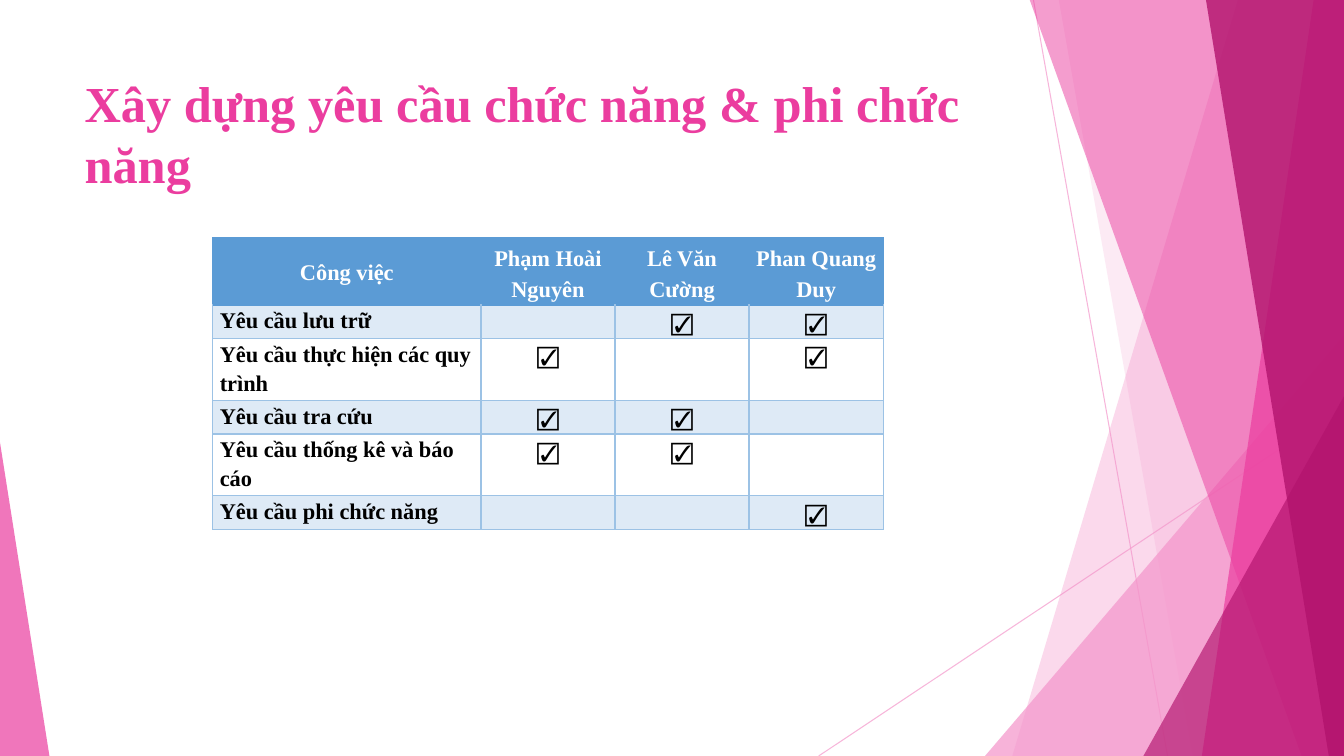
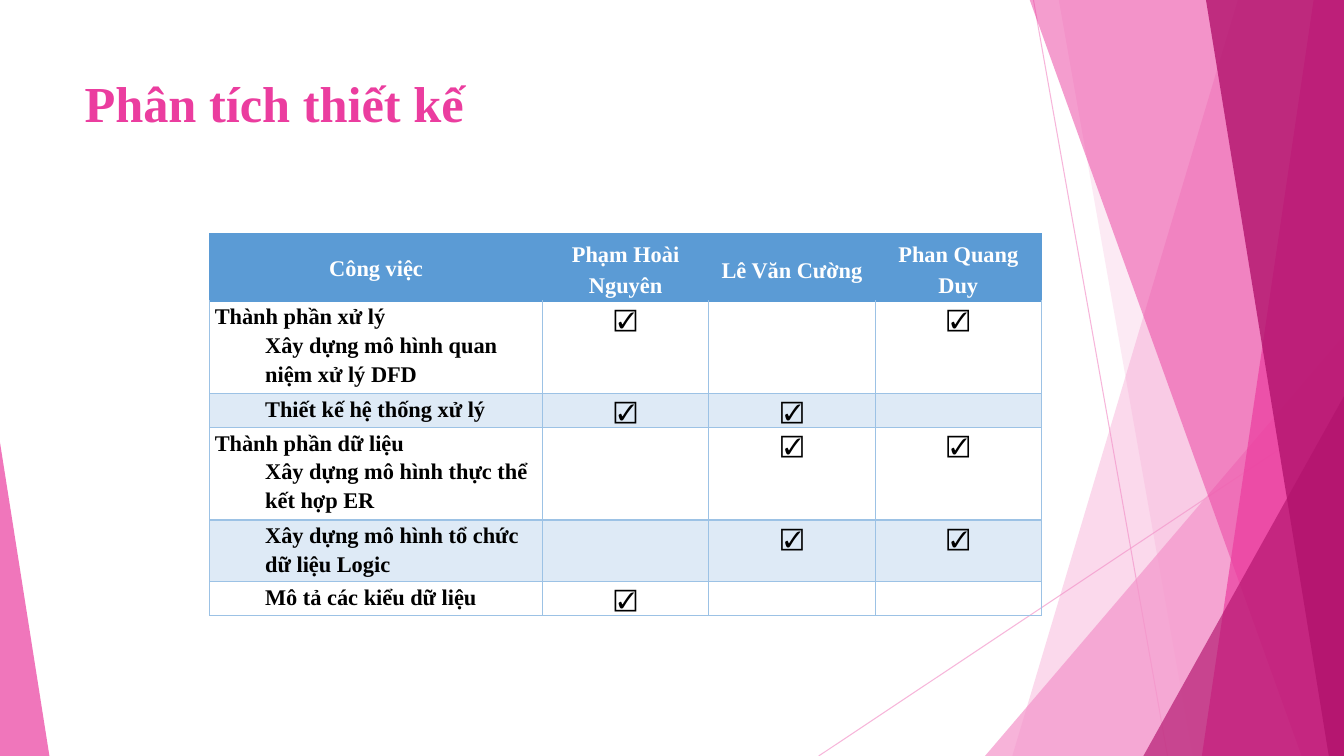
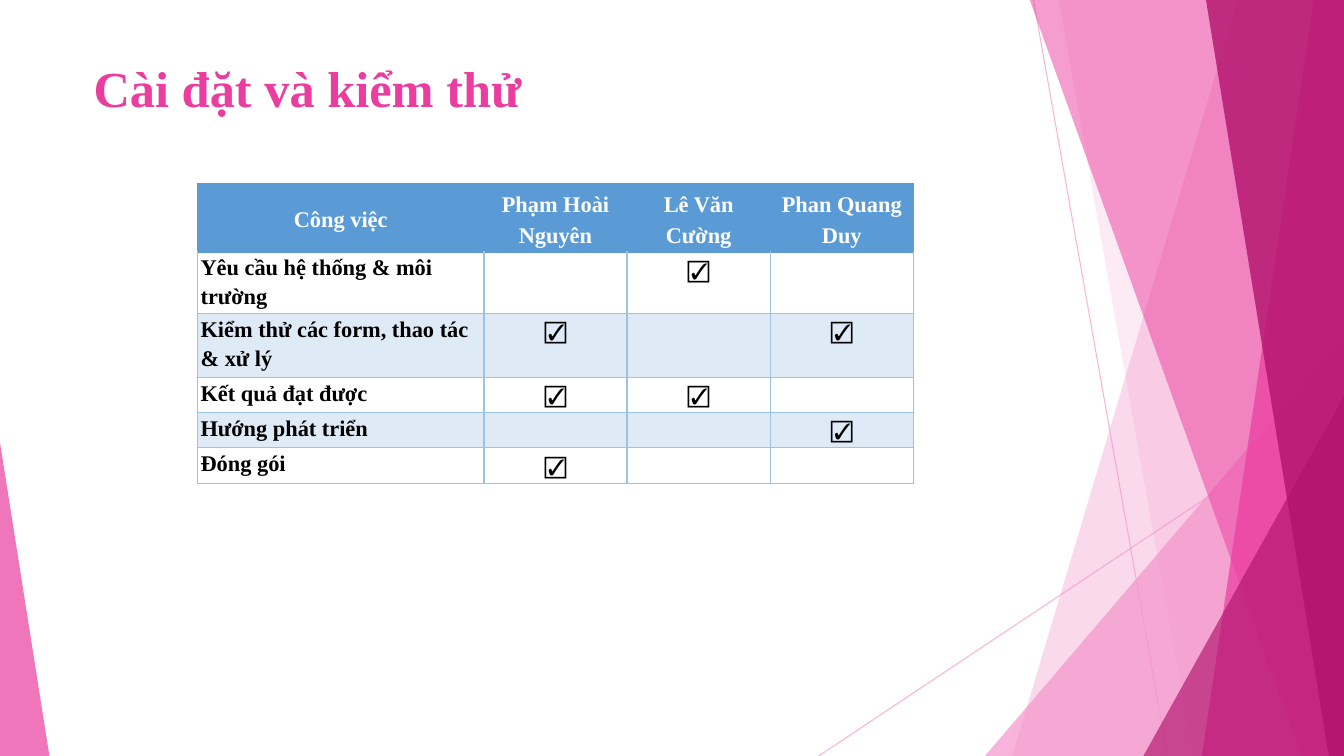
"""Builds three task assignment slides with a shared faceted pink backdrop."""
from dataclasses import dataclass

from lxml import etree
from pptx import Presentation
from pptx import util as u
from pptx.dml.color import RGBColor
from pptx.enum import shapes, text
from pptx.oxml.ns import qn


@dataclass(frozen=True)
class Theme:
    font: str = "Times New Roman"
    title_size: int = 36
    table_size: int = 16
    light: str = "F496CB"
    pink: str = "EB3D9F"
    dark: str = "B2136D"
    header: str = "5B9BD5"
    band: str = "DEEAF6"
    border: str = "9CC2E5"
    white: str = "FFFFFF"
    black: str = "000000"


THEME = Theme()
WIDTH, HEIGHT, TOP = 13.33, 7.5, -0.01
CHECK = "☑"
HEADINGS = ["Công việc", "Phạm Hoài Nguyên", "Lê Văn Cường", "Phan Quang Duy"]

RAYS = [((10.25, 0), (11.58, HEIGHT)), ((WIDTH, 4.03), (8.12, HEIGHT))]
FACETS = [
    ("band", 12.28, 10.04, THEME.light, 36),
    ("band", 10.5, 11.83, THEME.light, 20),
    ("triangle", 9.77, 3.33, THEME.light, 72),
    ("band", 10.21, 12.91, THEME.pink, 50),
    ("band", 13.03, 11.92, THEME.pink, 70),
    ("band", 11.96, 13.18, THEME.dark, 80),
    ("triangle", 11.34, 3.93, THEME.dark, 66),
]
LEFT_CORNER = (0, 4.39, 0.49, 3.11)

SLIDES = [
    dict(
        title="Xây dựng yêu cầu chức năng & phi chức năng", title_at=(0.74, 0.67),
        table_at=(2.11, 2.36), unit=1.33, inset=0.07, first_band=0,
        heights=[0.61, 0.31, 0.57, 0.31, 0.57, 0.31],
        tasks=[
            ([(0, "Yêu cầu lưu trữ")], (0, 1, 1)),
            ([(0, "Yêu cầu thực hiện các quy trình")], (1, 0, 1)),
            ([(0, "Yêu cầu tra cứu")], (1, 1, 0)),
            ([(0, "Yêu cầu thống kê và báo cáo")], (1, 1, 0)),
            ([(0, "Yêu cầu phi chức năng")], (0, 0, 1)),
        ],
    ),
    dict(
        title="Phân tích thiết kế", title_at=(0.74, 0.67),
        table_at=(2.08, 2.32), unit=1.65, inset=0.05, first_band=1,
        heights=[0.61, 0.85, 0.31, 0.85, 0.57, 0.31],
        tasks=[
            ([(0, "Thành phần xử lý"),
              (1, "Xây dựng mô hình quan niệm xử lý DFD")], (1, 0, 1)),
            ([(1, "Thiết kế hệ thống xử lý")], (1, 1, 0)),
            ([(0, "Thành phần dữ liệu"),
              (1, "Xây dựng mô hình thực thể kết hợp ER")], (0, 1, 1)),
            ([(1, "Xây dựng mô hình tổ chức dữ liệu Logic")], (0, 1, 1)),
            ([(1, "Mô tả các kiểu dữ liệu")], (1, 0, 0)),
        ],
    ),
    dict(
        title="Cài đặt và kiểm thử", title_at=(0.83, 0.52),
        table_at=(1.96, 1.82), unit=1.42, inset=0.03, first_band=1,
        heights=[0.68, 0.57, 0.63, 0.35, 0.35, 0.35],
        tasks=[
            ([(0, "Yêu cầu hệ thống & môi trường")], (0, 1, 0)),
            ([(0, "Kiểm thử các form, thao tác & xử lý")], (1, 0, 1)),
            ([(0, "Kết quả đạt được")], (1, 1, 0)),
            ([(0, "Hướng phát triển")], (0, 0, 1)),
            ([(0, "Đóng gói")], (1, 0, 0)),
        ],
    ),
]


def inches(*lengths):
    return [u.Inches(length) for length in lengths]


def write(frame, lines, size=THEME.table_size, color=THEME.black, bold=True,
          align=text.PP_ALIGN.LEFT, spacing=1.0):
    for index, (level, words) in enumerate(lines):
        paragraph = frame.add_paragraph() if index else frame.paragraphs[0]
        paragraph.alignment = align
        paragraph.line_spacing = spacing
        if level:
            paragraph._p.get_or_add_pPr().set("marL", str(u.Inches(0.5 * level)))
        run = paragraph.add_run()
        run.text = words
        run.font.name = THEME.font
        run.font.size = u.Pt(size)
        run.font.bold = bold
        run.font.color.rgb = RGBColor.from_string(color)


def set_opacity(fill, color, percent):
    fill.solid()
    fill.fore_color.rgb = RGBColor.from_string(color)
    solid = fill._xPr.find(qn("a:solidFill"))
    etree.SubElement(solid[0], qn("a:alpha")).set("val", str(percent * 1000))


def paint(shape, color, opacity):
    shape.shadow.inherit = False
    shape.line.fill.background()
    set_opacity(shape.fill, color, opacity)


def add_triangle(slide, box, apex, color, opacity):
    triangle = slide.shapes.add_shape(shapes.MSO_SHAPE.ISOSCELES_TRIANGLE, *inches(*box))
    triangle.adjustments[0] = apex
    paint(triangle, color, opacity)


def add_band(slide, top_x, bottom_x, color, opacity):
    builder = slide.shapes.build_freeform(*inches(top_x, TOP))
    corners = [(WIDTH, TOP), (WIDTH, HEIGHT), (bottom_x, HEIGHT)]
    builder.add_line_segments([inches(*corner) for corner in corners], close=True)
    paint(builder.convert_to_shape(), color, opacity)


def add_backdrop(slide):
    for start, end in RAYS:
        ray = slide.shapes.add_connector(
            shapes.MSO_CONNECTOR.STRAIGHT, *inches(*start, *end))
        ray.line.width = u.Pt(0.75)
        set_opacity(ray.line.fill, THEME.light, 70)
        etree.SubElement(ray._element.spPr, qn("a:effectLst"))
    for kind, first, second, color, opacity in FACETS:
        if kind == "band":
            add_band(slide, first, second, color, opacity)
        else:
            box = (first, second, WIDTH - first, HEIGHT - second)
            add_triangle(slide, box, 1, color, opacity)
    add_triangle(slide, LEFT_CORNER, 0, THEME.pink, 70)


def add_title(slide, words, position):
    frame = slide.shapes.add_textbox(*inches(*position, 9.4, 1.44)).text_frame
    frame.word_wrap = True
    write(frame, [(0, words)], size=THEME.title_size, color=THEME.pink)


def style_cell(cell, inset, fill, top, border):
    cell.margin_left = cell.margin_right = u.Inches(inset)
    cell.margin_top = cell.margin_bottom = 0
    properties = cell._tc.get_or_add_tcPr()
    for side, color in zip("LRTB", (border, border, top, border)):
        line = etree.SubElement(properties, qn("a:ln" + side), w=str(u.Pt(1)))
        solid = etree.SubElement(line, qn("a:solidFill"))
        etree.SubElement(solid, qn("a:srgbClr"), val=color)
    if fill:
        cell.fill.solid()
        cell.fill.fore_color.rgb = RGBColor.from_string(fill)
    else:
        cell.fill.background()


def add_task_table(slide, table_at, unit, inset, first_band, heights, tasks):
    widths = [2 * unit, unit, unit, unit]
    table = slide.shapes.add_table(
        len(heights), len(widths), *inches(*table_at, sum(widths), sum(heights))).table
    table.first_row = table.horz_banding = False
    for column, width in zip(table.columns, widths):
        column.width = u.Inches(width)
    for row, height in zip(table.rows, heights):
        row.height = u.Inches(height)
    centre = text.PP_ALIGN.CENTER
    for column, heading in enumerate(HEADINGS):
        cell = table.cell(0, column)
        style_cell(cell, inset, THEME.header, THEME.header, THEME.header)
        cell.vertical_anchor = text.MSO_ANCHOR.MIDDLE
        write(cell.text_frame, [(0, heading)], color=THEME.white, align=centre,
              spacing=1.25 if column else 1.15)
    for index, (lines, marks) in enumerate(tasks):
        fill = THEME.band if index % 2 == first_band else None
        top = THEME.border if index else THEME.header
        cells = list(table.rows[index + 1].cells)
        for cell in cells:
            style_cell(cell, inset, fill, top, THEME.border)
        write(cells[0].text_frame, lines, spacing=1.15)
        for cell, marked in zip(cells[1:], marks):
            if marked:
                write(cell.text_frame, [(0, CHECK)], bold=False, align=centre, spacing=1.25)


def main():
    presentation = Presentation()
    presentation.slide_width, presentation.slide_height = inches(WIDTH, HEIGHT)
    for content in SLIDES:
        slide = presentation.slides.add_slide(presentation.slide_layouts[6])
        add_backdrop(slide)
        add_title(slide, content["title"], content["title_at"])
        add_task_table(slide, **{key: value for key, value in content.items()
                                 if not key.startswith("title")})
    presentation.save("out.pptx")


main()
